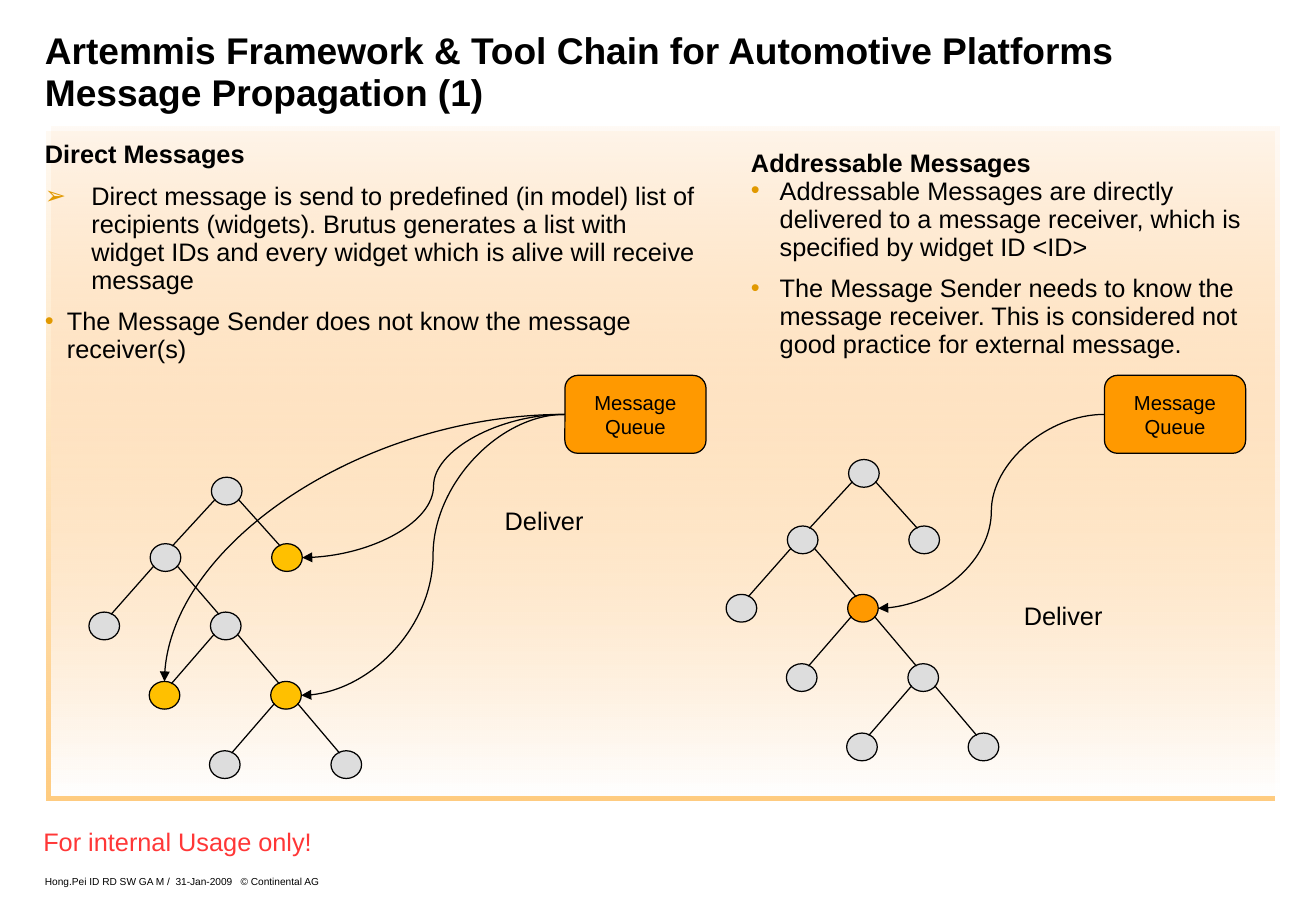
from lxml import etree
from pptx import Presentation
from pptx.dml.color import RGBColor
from pptx.enum.shapes import MSO_CONNECTOR, MSO_SHAPE
from pptx.enum.text import MSO_ANCHOR, MSO_AUTO_SIZE, PP_ALIGN
from pptx.oxml import parse_xml
from pptx.oxml.ns import nsdecls, qn
from pptx.util import Cm, Pt

STRAIGHT, CURVE = MSO_CONNECTOR.STRAIGHT, MSO_CONNECTOR.CURVE
RECTANGLE, OVAL = MSO_SHAPE.RECTANGLE, MSO_SHAPE.OVAL
ROUNDED = MSO_SHAPE.ROUNDED_RECTANGLE
TOP, MIDDLE, BOTTOM = MSO_ANCHOR.TOP, MSO_ANCHOR.MIDDLE, MSO_ANCHOR.BOTTOM
NO_AUTOFIT = MSO_AUTO_SIZE.NONE
LEFT, CENTER = PP_ALIGN.LEFT, PP_ALIGN.CENTER

FONT = "Arial"
COLOURS = {
    "text": "000000", "warning": "FF3737", "bullet": "E19900",
    "node": "DDDDDD", "receiver": "FFC000", "orange": "FF9900",
    "panel top": "FFCC99", "panel bottom": "FFFFFF",
}

# Content; all lengths in centimetres
TITLE = ("Artemmis Framework & Tool Chain for Automotive Platforms "
         "Message Propagation (1)")
# Text, bullet, hanging indent, space after in points
DIRECT = [
    ("Direct Messages", None, 0.46, 8.25),
    ("Direct message is send to predefined (in model) list of recipients "
     "(widgets). Brutus generates a list with widget IDs and every widget "
     "which is alive will receive message", "➢", 0.97, 8.25),
    ("The Message Sender does not know the message receiver(s)",
     "•", 0.46, 8.25),
]
ADDRESSABLE = [
    ("Addressable Messages", None, 0, 0),
    ("Addressable Messages are directly delivered to a message receiver, "
     "which is specified by widget ID <ID>", "•", 0.6, 8.25),
    ("The Message Sender needs to know the message receiver. This is "
     "considered not good practice for external message.", "•", 0.6, 8.25),
]
WARNING = "For internal Usage only!"
FOOTER = "Hong.Pei ID RD SW GA M /\t31-Jan-2009\t© Continental AG"
FOOTER_TABS = (2.73, 4.09)

# Widget tree: node name -> (column, row, parent)
TREE = {
    "root": (0, 0, None),
    "left": (-1, 1, "root"), "right": (1, 1, "root"),
    "outer leaf": (-2, 2, "left"), "inner": (0, 2, "left"),
    "inner left": (-1, 3, "inner"), "inner right": (1, 3, "inner"),
    "bottom left": (0, 4, "inner right"),
    "bottom right": (2, 4, "inner right"),
}
DIAGRAMS = [
    {"root": (4.74, 10.27), "queue": (11.81, 7.85), "label": (10.31, 10.44),
     "colour": "receiver",
     "receivers": {"inner right": "side", "right": "side",
                   "inner left": "top"}},
    {"root": (18.06, 9.9), "queue": (23.09, 7.85), "label": (21.16, 12.42),
     "colour": "orange", "receivers": {"inner": "side"}},
]
COLUMN_STEP = 1.27
ROW_OFFSETS = (0, 1.39, 2.82, 4.27, 5.72)
ROW_DRIFT = -0.01
NODE_SIZE = (0.64, 0.58)
QUEUE_SIZE = (2.95, 1.63)
LABEL_SIZE = (2.13, 0.89)

presentation = Presentation()
presentation.slide_width, presentation.slide_height = Cm(27.51), Cm(19.05)
slide = presentation.slides.add_slide(presentation.slide_layouts[1])


def rgb(name):
    return RGBColor.from_string(COLOURS[name])


def place(shape, left, top, width, height):
    shape.left, shape.top = Cm(left), Cm(top)
    shape.width, shape.height = Cm(width), Cm(height)


def set_frame(shape, wrap, anchor=TOP, inset=(0.23, 0.13)):
    frame = shape.text_frame
    frame.auto_size = NO_AUTOFIT
    frame.word_wrap, frame.vertical_anchor = wrap, anchor
    frame.margin_left = frame.margin_right = Cm(inset[0])
    frame.margin_top = frame.margin_bottom = Cm(inset[1])
    return frame


def format_paragraph(paragraph, size, colour="text", bold=False, align=LEFT):
    paragraph.alignment = align
    for run in paragraph.runs:
        run.font.name, run.font.size = FONT, Pt(size)
        run.font.bold, run.font.color.rgb = bold, rgb(colour)


def fill_list(frame, items):
    frame.text = "\n".join(item[0] for item in items)
    for paragraph, (_, bullet, indent, after) in zip(frame.paragraphs, items):
        properties = paragraph._p.get_or_add_pPr()
        properties.set("marL", str(Cm(indent)))
        properties.set("indent", str(-Cm(indent)))
        if bullet:
            colour = etree.SubElement(properties, qn("a:buClr"))
            etree.SubElement(colour, qn("a:srgbClr"), val=COLOURS["bullet"])
            etree.SubElement(properties, qn("a:buFont"), typeface=FONT)
            etree.SubElement(properties, qn("a:buChar"), char=bullet)
            paragraph.line_spacing = Pt(16.5)
        else:
            etree.SubElement(properties, qn("a:buNone"))
        paragraph.space_before, paragraph.space_after = Pt(0), Pt(after)
        format_paragraph(paragraph, 15, bold=bullet is None)


def add_text(text, box, size, colour="text", align=CENTER, **frame_options):
    shape = slide.shapes.add_textbox(*map(Cm, box))
    frame = set_frame(shape, False, **frame_options)
    frame.text = text
    format_paragraph(frame.paragraphs[0], size, colour, align=align)
    return frame.paragraphs[0]


def add_filled(kind, box, colour):
    shape = slide.shapes.add_shape(kind, *map(Cm, box))
    shape.shadow.inherit = False
    shape.fill.solid()
    shape.fill.fore_color.rgb = rgb(colour)
    shape.line.color.rgb, shape.line.width = rgb("text"), Pt(0.75)
    return shape


def add_line(kind, start, end, arrow=False):
    line = slide.shapes.add_connector(kind, *map(Cm, (*start, *end)))
    line.line.color.rgb, line.line.width = rgb("text"), Pt(0.75)
    if arrow:
        etree.SubElement(line.line._get_or_add_ln(), qn("a:tailEnd"),
                         type="triangle")
    etree.SubElement(line._element.spPr, qn("a:effectLst"))
    return line


def add_diagram(diagram):
    root_x, root_y = diagram["root"]
    receivers = diagram["receivers"]
    node_width, node_height = NODE_SIZE
    centres = {}
    # Nodes and branches
    for name, (column, row, parent) in TREE.items():
        x = root_x + column * COLUMN_STEP + row * ROW_DRIFT
        y = root_y + ROW_OFFSETS[row]
        centres[name] = x, y
        add_filled(OVAL, (x - node_width / 2, y - node_height / 2, *NODE_SIZE),
                   diagram["colour"] if name in receivers else "node")
        if parent:
            parent_x, parent_y = centres[parent]
            side = 1 if x > parent_x else -1
            add_line(STRAIGHT, (parent_x + side * 0.24, parent_y + 0.17),
                     (x - side * 0.14, y - 0.24))
    # Message queue
    queue_x, queue_y = diagram["queue"]
    queue = add_filled(ROUNDED, (queue_x, queue_y, *QUEUE_SIZE), "orange")
    frame = set_frame(queue, False, MIDDLE)
    frame.text = "Message\nQueue"
    for paragraph in frame.paragraphs:
        format_paragraph(paragraph, 12, align=CENTER)
    # Delivery arrows
    start = queue_x, queue_y + QUEUE_SIZE[1] / 2
    for name, entry in receivers.items():
        x, y = centres[name]
        if entry == "side":
            add_line(CURVE, start, (x + node_width / 2, y), arrow=True)
        else:
            line = add_line(CURVE, start, (x, y - node_height / 2), arrow=True)
            geometry = line._element.spPr.find(qn("a:prstGeom"))
            geometry.set("prst", "curvedConnector2")
    add_text("Deliver", (*diagram["label"], *LABEL_SIZE), 15)


# Background panel, behind the placeholders
panel = add_filled(RECTANGLE, (1.07, 2.64, 25.68, 14), "panel top")
panel.line.fill.background()
properties = panel._element.spPr
properties.replace(properties.find(qn("a:solidFill")), parse_xml(
    f'<a:gradFill {nsdecls("a")} rotWithShape="1"><a:gsLst>'
    f'<a:gs pos="0"><a:srgbClr val="{COLOURS["panel top"]}">'
    f'<a:alpha val="10000"/></a:srgbClr></a:gs>'
    f'<a:gs pos="100000"><a:srgbClr val="{COLOURS["panel bottom"]}"/></a:gs>'
    f'</a:gsLst><a:lin ang="5400000" scaled="1"/></a:gradFill>'))
properties.find(qn("a:effectLst")).append(parse_xml(
    f'<a:outerShdw {nsdecls("a")} dist="{Pt(4.2)}" dir="8100000" algn="ctr" '
    f'rotWithShape="0"><a:srgbClr val="{COLOURS["orange"]}">'
    f'<a:alpha val="50000"/></a:srgbClr></a:outerShdw>'))
slide.shapes._spTree.insert(2, panel._element)

# Title
title = slide.shapes.title
place(title, 0.94, 0.64, 25.65, 1.75)
title_frame = set_frame(title, True, BOTTOM, (0, 0))
title_frame.text = TITLE
title_frame.paragraphs[0].line_spacing = Pt(24.8)
format_paragraph(title_frame.paragraphs[0], 22, bold=True)

# Text columns
body = slide.placeholders[1]
place(body, 0.94, 2.95, 13.82, 5.64)
fill_list(set_frame(body, True, inset=(0, 0)), DIRECT)
body.text_frame.paragraphs[0].line_spacing = Pt(16.5)
column = slide.shapes.add_textbox(Cm(15.47), Cm(2.95), Cm(11.25), Cm(4.85))
fill_list(set_frame(column, True), ADDRESSABLE)

# Tree diagrams
for diagram in DIAGRAMS:
    add_diagram(diagram)

# Footer
add_text(WARNING, (0.64, 17.15, 6.15, 0.89), 15, "warning")
footer = add_text(FOOTER, (0.94, 18.14, 8.71, 0.41), 6, align=LEFT,
                  anchor=BOTTOM, inset=(0, 0))
footer.line_spacing = Pt(5.5)
tabs = etree.SubElement(footer._p.get_or_add_pPr(), qn("a:tabLst"))
for position in FOOTER_TABS:
    etree.SubElement(tabs, qn("a:tab"), pos=str(Cm(position)), algn="l")

presentation.save("out.pptx")
